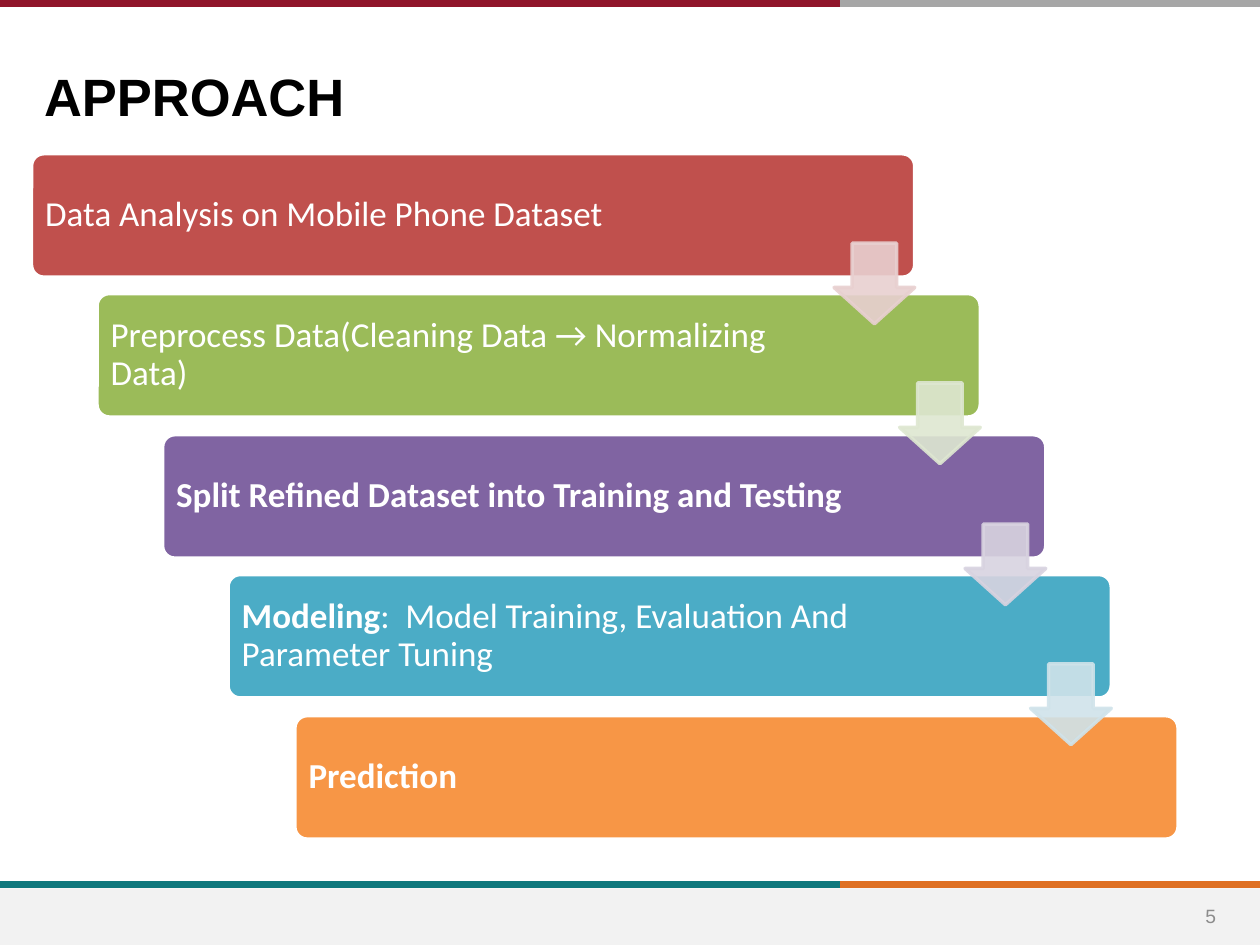
from lxml.etree import SubElement
from pptx import Presentation
from pptx.dml.color import RGBColor
from pptx.enum.shapes import MSO_CONNECTOR as CONN, MSO_SHAPE as SHAPE
from pptx.enum.text import MSO_ANCHOR as ANCHOR, MSO_AUTO_SIZE as AUTO, PP_ALIGN as ALIGN
from pptx.oxml.ns import qn
from pptx.util import Emu, Pt

PX = 9144
COLORS = {
    "black": "000000", "white": "FFFFFF", "number": "8C8C8C", "footer": "F2F2F2",
    "maroon": "90152A", "gray": "A6A6A6", "teal": "0F787D", "rust": "DF7023",
    "red": "C0504D", "green": "9BBB59", "purple": "8064A2",
    "blue": "4BACC6", "orange": "F79646",
    "red_tint": "E8D0D0", "green_tint": "DEE7D1",
    "purple_tint": "D8D3E0", "blue_tint": "D0E3EA",
}
STEPS = [
    ("red", [("Data Analysis on Mobile Phone Dataset", False)]),
    ("green", [("Preprocess Data(Cleaning Data → Normalizing Data)", False)]),
    ("purple", [("Split Refined Dataset into Training and Testing", True)]),
    ("blue", [("Modeling", True),
              (":  Model Training, Evaluation And Parameter Tuning", False)]),
    ("orange", [("Prediction", True)]),
]


def px(n):
    return Emu(n * PX)


def rgb(name):
    return RGBColor.from_string(COLORS[name])


def add_run(p, text, font="Calibri", size=20, color="white", bold=False):
    r = p.add_run()
    r.text = text
    r.font.name = font
    r.font.size = Pt(size)
    r.font.bold = bold
    r.font.color.rgb = rgb(color)


class Deck:
    def __init__(self, width, height):
        self.prs = Presentation()
        self.prs.slide_width, self.prs.slide_height = px(width), px(height)
        self.s = self.prs.slides.add_slide(self.prs.slide_layouts[5])

    def title(self, text, *box):
        sp = self.s.shapes.title
        sp.left, sp.top, sp.width, sp.height = map(px, box)
        tf = sp.text_frame
        tf.auto_size = AUTO.NONE
        tf.vertical_anchor = ANCHOR.TOP
        p = tf.paragraphs[0]
        p.alignment = ALIGN.LEFT
        add_run(p, text, font="Arial", size=30, color="black", bold=True)

    def line(self, x1, x2, y, color):
        c = self.s.shapes.add_connector(CONN.STRAIGHT, px(x1), px(y), px(x2), px(y))
        c.line.color.rgb = rgb(color)
        c.line.width = Pt(4)
        SubElement(c._element.spPr, qn("a:effectLst"))

    def shape(self, kind, box, fill, line=None, adj=()):
        sp = self.s.shapes.add_shape(kind, *map(px, box))
        sp.shadow.inherit = False
        sp.fill.solid()
        sp.fill.fore_color.rgb = rgb(fill)
        if line:
            sp.line.color.rgb = rgb(line)
            sp.line.width = Pt(2)
        else:
            sp.line.fill.background()
        for i, value in enumerate(adj):
            sp.adjustments[i] = value
        return sp

    def step(self, x, y, color, runs):
        sp = self.shape(SHAPE.ROUNDED_RECTANGLE, (x, y, 701, 98), color, "white", [0.1])
        tf = sp.text_frame
        tf.word_wrap = True
        tf.vertical_anchor = ANCHOR.MIDDLE
        tf.margin_left = tf.margin_top = tf.margin_bottom = px(8)
        tf.margin_right = px(124)
        p = tf.paragraphs[0]
        p.alignment = ALIGN.LEFT
        p.line_spacing = 0.9
        for text, bold in runs:
            add_run(p, text, bold=bold)

    def arrow(self, x, y, color):
        sp = self.shape(SHAPE.DOWN_ARROW, (x, y, 64, 64), color, color, [0.55, 0.45])
        for clr in sp._element.spPr.iter(qn("a:srgbClr")):
            SubElement(clr, qn("a:alpha"), val="90000")

    def number(self, text, *box):
        tf = self.s.shapes.add_textbox(*map(px, box)).text_frame
        tf.word_wrap = True
        tf.vertical_anchor = ANCHOR.MIDDLE
        p = tf.paragraphs[0]
        p.alignment = ALIGN.CENTER
        add_run(p, text, font="Arial", size=11, color="number")


def main():
    deck = Deck(1000, 750)
    for y, left, right in [(702, "teal", "rust"), (3, "maroon", "gray")]:
        deck.line(667, 1000, y, right)
        deck.line(0, 667, y, left)
    deck.shape(SHAPE.RECTANGLE, (0, 705, 1000, 45), "footer")
    deck.number("5", 935, 707, 52, 40)
    deck.title("APPROACH", 25, 46, 799, 59)
    corners = [(25 + 209 * i // 4, 122 + 223 * i // 2) for i in range(len(STEPS))]
    for (x, y), (color, runs) in zip(corners, STEPS):
        deck.step(x, y, color, runs)
    for (x, y), (color, _) in zip(corners[:-1], STEPS):
        deck.arrow(x + 637, y + 71, color + "_tint")
    deck.prs.save("out.pptx")


if __name__ == "__main__":
    main()
